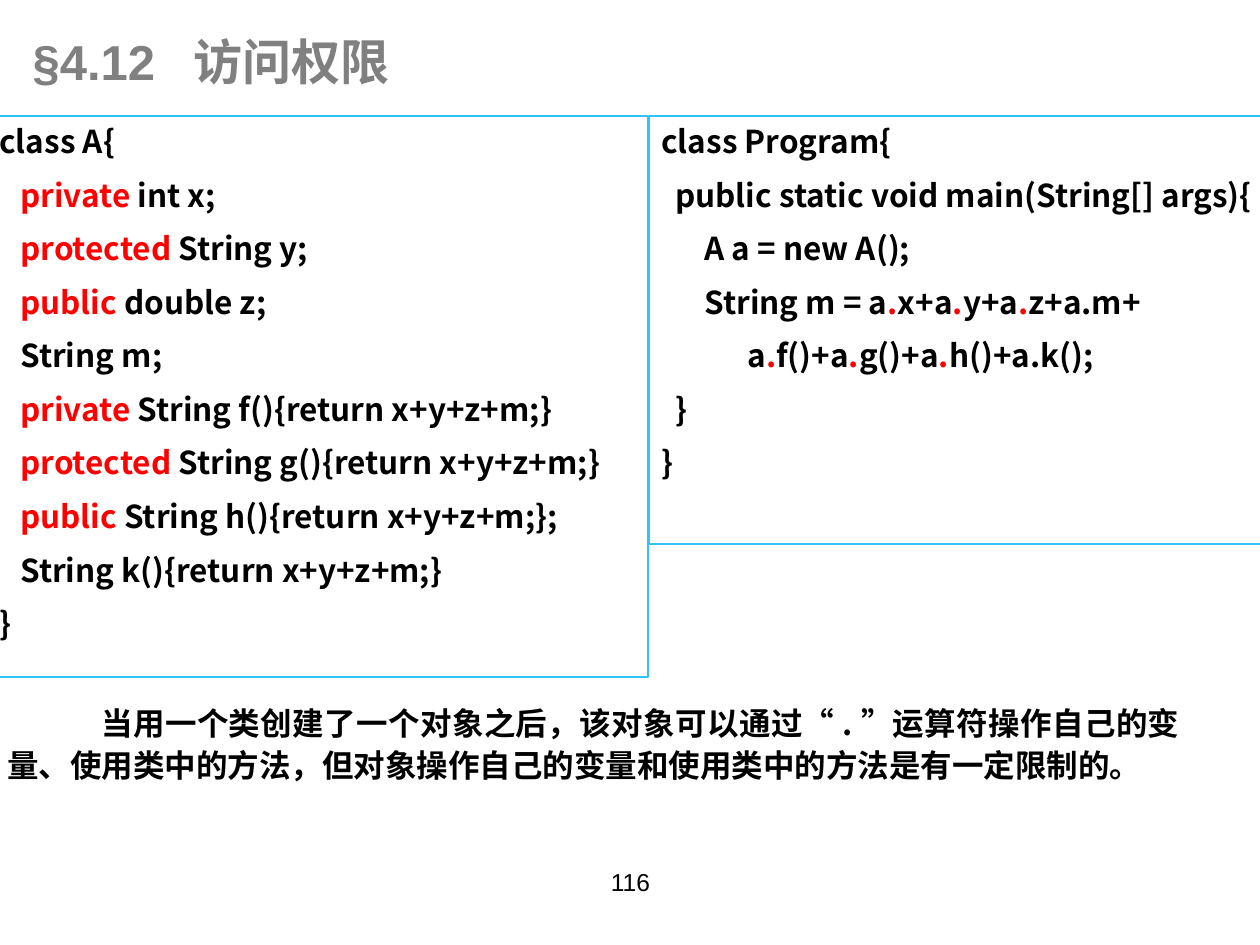
from pptx import Presentation
from pptx.dml.color import RGBColor
from pptx.enum.shapes import MSO_SHAPE
from pptx.enum.text import MSO_ANCHOR, PP_ALIGN
from pptx.oxml.ns import qn
from pptx.util import Pt
from lxml.etree import SubElement

PX = 914400 // 126
COLORS = {"text": "000000", "title": "808080", "mark": "FF0000", "line": "2FC2FB"}
SANS, SERIF, CHINESE = "Arial", "Times New Roman", "Noto Sans CJK SC"

TITLE = ("§4.12", "访问权限")
PAGE_NUMBER = "116"
NOTE = ("当用一个类创建了一个对象之后，该对象可以通过“", ".",
        "”运算符操作自己的变量、使用类中的方法，但对象操作自己的变量和使用类中的方法是有一定限制的。")

# Each line: indent in px, code with the highlighted parts between asterisks
CLASS_A = [
    (0, "class A{"),
    (21, "*private* int x;"),
    (21, "*protected* String y;"),
    (21, "*public* double z;"),
    (21, "String m;"),
    (21, "*private* String f(){return x+y+z+m;}"),
    (21, "*protected* String g(){return x+y+z+m;}"),
    (21, "*public* String h(){return x+y+z+m;};"),
    (21, "String k(){return x+y+z+m;}"),
    (0, "}"),
]
CLASS_PROGRAM = [
    (0, "class Program{"),
    (14, "public static void main(String[] args){"),
    (43, "A a = new A();"),
    (43, "String m = a*.*x+a*.*y+a*.*z+a.m+"),
    (86, "a*.*f()+a*.*g()+a*.*h()+a.k();"),
    (14, "}"),
    (0, "}"),
]
CODE_BOXES = [((-13, 116, 661, 561), CLASS_A), ((649, 116, 660, 428), CLASS_PROGRAM)]


def color(name):
    return RGBColor.from_string(COLORS[name])


def place(shape, bounds):
    shape.left, shape.top, shape.width, shape.height = (n * PX for n in bounds)


def set_font(font, size, name, color_name="text", bold=False):
    font.size, font.name, font.bold = Pt(size), name, bold
    font.color.rgb = color(color_name)


def add_span(para, text, latin=None):
    """Add a run whose Chinese characters use the Chinese font."""
    span = para.add_run()
    span.text = text
    if latin:
        span.font.name = latin
    SubElement(span.font._element, qn("a:ea"), typeface=CHINESE)
    return span


def set_frame(shape, top_inset=6):
    frame = shape.text_frame
    frame.word_wrap = True
    frame.vertical_anchor = MSO_ANCHOR.TOP
    frame.margin_top = top_inset * PX
    return frame


def add_code_box(slide, bounds, lines):
    box = slide.shapes.add_shape(MSO_SHAPE.RECTANGLE, *(n * PX for n in bounds))
    box.shadow.inherit = False
    box.fill.background()
    box.line.color.rgb = color("line")
    box.line.width = Pt(0.75)
    frame = set_frame(box)
    for number, (indent, code) in enumerate(lines):
        para = frame.add_paragraph() if number else frame.paragraphs[0]
        para.alignment = PP_ALIGN.LEFT
        para.line_spacing, para.space_after = Pt(21.6), Pt(9)
        para._p.get_or_add_pPr().set("marL", str(indent * PX))
        set_font(para.font, 18, CHINESE, bold=True)
        for position, part in enumerate(code.split("*")):
            if part:
                span = add_span(para, part)
                span.font.color.rgb = color("mark" if position % 2 else "text")


def main():
    deck = Presentation()
    deck.slide_width, deck.slide_height = 1260 * PX, 945 * PX
    slide = deck.slides.add_slide(deck.slide_layouts[5])

    title = slide.shapes.title
    place(title, (20, 31, 788, 85))
    para = set_frame(title, 0).paragraphs[0]
    para.alignment = PP_ALIGN.LEFT
    set_font(para.font, 28, SANS, "title", True)
    tabs = SubElement(para._p.get_or_add_pPr(), qn("a:tabLst"))
    SubElement(tabs, qn("a:tab"), pos=str(161 * PX), algn="l")
    para._p.pPr.insert(0, tabs)
    add_span(para, TITLE[0] + "\t")
    add_span(para, TITLE[1], CHINESE)

    for bounds, lines in CODE_BOXES:
        add_code_box(slide, bounds, lines)

    note = slide.shapes.add_textbox(0, 0, 0, 0)
    place(note, (-5, 670, 1197, 117))
    para = set_frame(note, 30).paragraphs[0]
    para.alignment = PP_ALIGN.JUSTIFY
    para.line_spacing = Pt(24)
    para._p.get_or_add_pPr().set("indent", str(94 * PX))
    set_font(para.font, 18, SERIF, bold=True)
    for text, latin in zip(NOTE, (SERIF, CHINESE, SERIF)):
        add_span(para, text, latin)

    number = slide.shapes.add_textbox(0, 0, 0, 0)
    place(number, (431, 861, 399, 66))
    para = set_frame(number).paragraphs[0]
    para.alignment = PP_ALIGN.CENTER
    set_font(para.font, 14, SANS)
    add_span(para, PAGE_NUMBER)

    deck.save("out.pptx")


if __name__ == "__main__":
    main()
